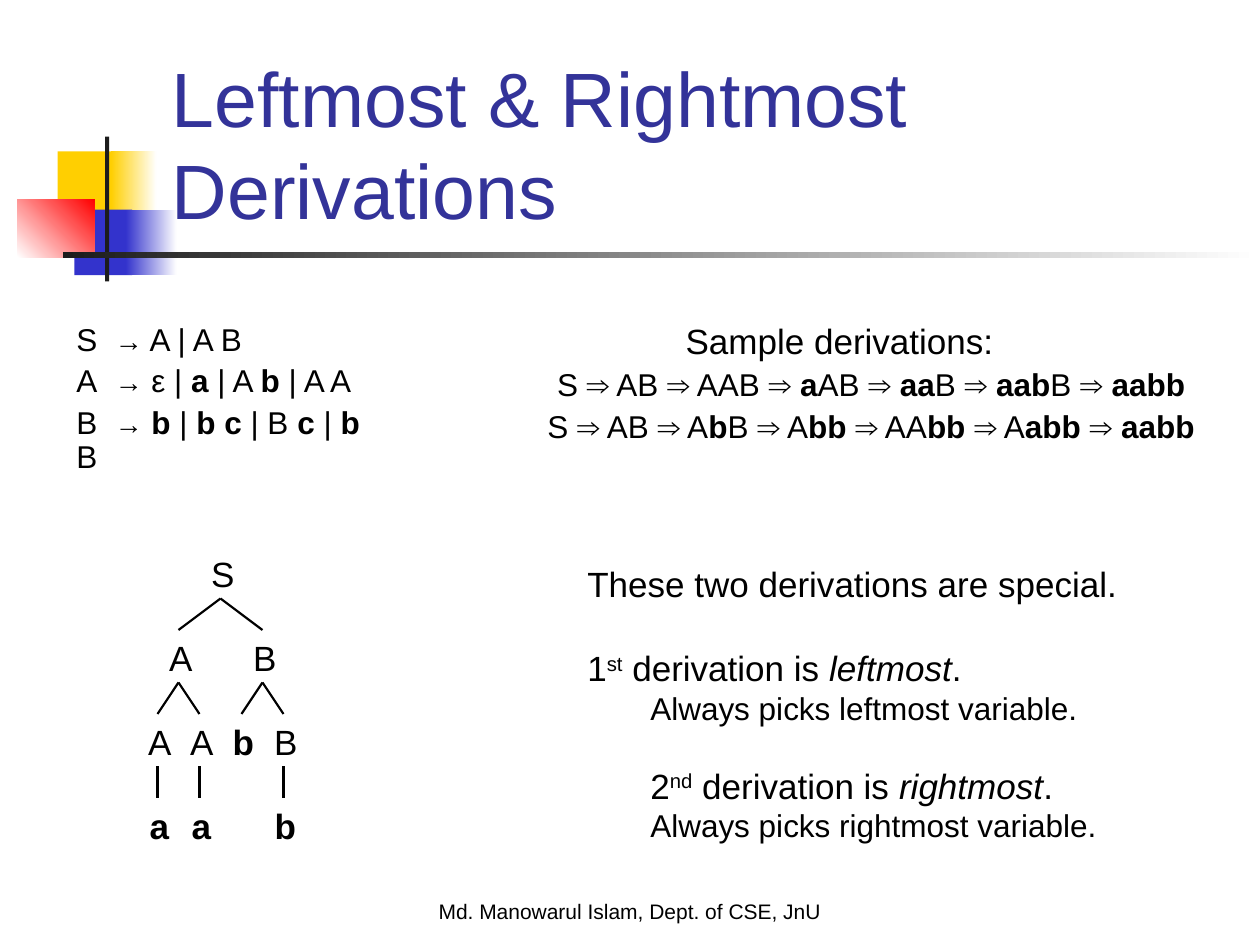
from dataclasses import dataclass
from typing import NamedTuple

from lxml.etree import SubElement
from pptx import Presentation
from pptx.dml.color import RGBColor
from pptx.enum.shapes import MSO_CONNECTOR, MSO_SHAPE
from pptx.enum.text import MSO_ANCHOR, MSO_AUTO_SIZE, PP_ALIGN
from pptx.oxml.ns import qn
from pptx.util import Pt

COLORS = {
    "yellow": "FFCF01",
    "blue": "3333CC",
    "red": "FF0000",
    "ink": "1C1C1C",
    "white": "FFFFFF",
    "title": "333399",
    "text": "000000",
}
FONT = "Arial"


class Block(NamedTuple):
    left: float
    top: float
    width: float
    height: float
    start: str
    end: str | None = None
    angle: float = 0


class Run(NamedTuple):
    text: str
    bold: bool = False
    italic: bool = False
    raised: bool = False
    size: float | None = None


@dataclass
class Line:
    runs: list[Run]
    size: float = 20
    align: PP_ALIGN = PP_ALIGN.LEFT
    indent: float = 0
    before: float = 0
    spacing: float | None = None
    tab: float | None = None


class Node(NamedTuple):
    label: str
    column: float
    level: int
    parent: int | None = None
    bold: bool = False


def color(name: str) -> RGBColor:
    return RGBColor.from_string(COLORS[name])


def alternating(*texts: str) -> list[Run]:
    return [Run(text, bold=i % 2 == 1) for i, text in enumerate(texts) if text]


def production(variable: str, *texts: str) -> Line:
    runs = [Run(variable + "\t"), Run("→", size=16), *alternating(*texts)]
    return Line(runs, 18, before=4.5, spacing=0.9, tab=22)


def derivation(*texts: str) -> Line:
    return Line(alternating(*texts), 18, PP_ALIGN.CENTER, 36, 4.5, 0.9)


def ordinal(number: str, suffix: str, kind: str, indent: float, before: float) -> Line:
    runs = [Run(number), Run(suffix, raised=True), Run(" derivation is "),
            Run(kind, italic=True), Run(".")]
    return Line(runs, indent=indent, before=before)


def add_block(shapes, block: Block) -> None:
    square = shapes.add_shape(MSO_SHAPE.RECTANGLE, *map(Pt, block[:4]))
    square.shadow.inherit = False
    square.line.fill.background()
    if block.end is None:
        square.fill.solid()
        square.fill.fore_color.rgb = color(block.start)
        return
    square.fill.gradient()
    square.fill.gradient_angle = block.angle
    for stop, name in zip(square.fill.gradient_stops, (block.start, block.end)):
        stop.color.rgb = color(name)


def write_line(paragraph, line: Line) -> None:
    paragraph.alignment = line.align
    paragraph.space_before = Pt(line.before)
    if line.spacing:
        paragraph.line_spacing = line.spacing
    properties = paragraph._p.get_or_add_pPr()
    if line.indent:
        properties.set("marL", str(Pt(line.indent)))
    if line.tab:
        stops = SubElement(properties, qn("a:tabLst"))
        SubElement(stops, qn("a:tab"), pos=str(Pt(line.tab)), algn="l")
    paragraph.font.name = FONT
    paragraph.font.size = Pt(line.size)
    paragraph.font.color.rgb = color("text")
    for part in line.runs:
        run = paragraph.add_run()
        run.text = part.text
        if part.bold:
            run.font.bold = True
        if part.italic:
            run.font.italic = True
        if part.size:
            run.font.size = Pt(part.size)
        if part.raised:
            run.font._element.set("baseline", "30000")


def add_text(shapes, left: float, top: float, width: float, height: float,
             lines: list[Line], wrap: bool = True) -> None:
    frame = shapes.add_textbox(Pt(left), Pt(top), Pt(width), Pt(height)).text_frame
    frame.word_wrap = wrap
    for i, line in enumerate(lines):
        write_line(frame.add_paragraph() if i else frame.paragraphs[0], line)


def add_tree(shapes, nodes: list[Node]) -> None:
    left, top, column_gap, level_gap = 90, 312, 24, 48
    label_width, label_height, stem_top = 27, 32, 30
    for node in nodes:
        x, y = left + node.column * column_gap, top + node.level * level_gap
        label = Line([Run(node.label, bold=node.bold)], align=PP_ALIGN.CENTER)
        add_text(shapes, x + 1 - label_width / 2, y, label_width, label_height, [label], False)
        if node.parent is None:
            continue
        parent = nodes[node.parent]
        branch = shapes.add_connector(
            MSO_CONNECTOR.STRAIGHT,
            Pt(left + parent.column * column_gap),
            Pt(top + parent.level * level_gap + stem_top), Pt(x), Pt(y))
        branch.line.color.rgb = color("text")
        branch.line.width = Pt(1.25)
        SubElement(branch._element.spPr, qn("a:effectLst"))


def main() -> None:
    deck = Presentation()
    deck.slide_width, deck.slide_height = Pt(720), Pt(540)
    slide = deck.slides.add_slide(deck.slide_layouts[5])
    shapes = slide.shapes

    for block in [
        Block(33, 86.5, 34.5, 37.5, "yellow"),
        Block(63.5, 86.5, 26, 37.5, "yellow", "white"),
        Block(42.5, 119.75, 33, 37.5, "blue"),
        Block(72, 119.75, 29, 37.5, "blue", "white"),
        Block(10, 113.75, 44, 33.25, "white", "red", 45),
        Block(60, 78, 2.4, 82.75, "ink"),
        Block(36, 144, 684, 3.5, "ink", "white"),
    ]:
        add_block(shapes, block)

    title = shapes.title
    title.element.getparent().append(title.element)
    title.left, title.top, title.width, title.height = map(Pt, (91, 48, 613, 90))
    title.text_frame.auto_size = MSO_AUTO_SIZE.NONE
    title.text_frame.vertical_anchor = MSO_ANCHOR.BOTTOM
    title.text_frame.text = "Leftmost & Rightmost Derivations"
    heading = title.text_frame.paragraphs[0]
    heading.alignment = PP_ALIGN.LEFT
    heading.font.name, heading.font.size = FONT, Pt(44)
    heading.font.color.rgb = color("title")

    add_text(shapes, 0, 510, 720, 29, [
        Line([Run("Md. Manowarul Islam, Dept. of CSE, JnU")], 12, PP_ALIGN.CENTER)])
    add_text(shapes, 263, 181.5, 433.5, 77, [
        Line([Run("Sample derivations:")], align=PP_ALIGN.CENTER, before=5, spacing=0.9),
        derivation("S ⇒ AB ⇒ AAB ⇒ ", "a", "AB ⇒ ", "aa", "B ⇒ ", "aab", "B ⇒ ", "aabb"),
        derivation("S ⇒ AB ⇒ A", "b", "B ⇒ A", "bb ", "⇒ AA", "bb ", "⇒ A", "abb ",
                   "⇒ ", "aabb")])
    add_text(shapes, 36.5, 181.5, 190, 75, [
        production("S", " A | A B"),
        production("A", " ε | ", "a", " | A ", "b", " | A A"),
        production("B", " ", "b", " | ", "b c", " | B ", "c", " | ", "b", " B")])
    add_text(shapes, 328.5, 318, 317.5, 168.5, [
        Line([Run("These two derivations are special.")]),
        ordinal("1", "st", "leftmost", 0, 24),
        Line([Run("Always picks leftmost variable.")], 18, indent=36),
        ordinal("2", "nd", "rightmost", 36, 21.5),
        Line([Run("Always picks rightmost variable.")], 18, indent=36)])
    add_tree(shapes.add_group_shape().shapes, [
        Node("S", 1.5, 0),
        Node("A", 0.5, 1, 0), Node("B", 2.5, 1, 0),
        Node("A", 0, 2, 1), Node("A", 1, 2, 1),
        Node("b", 2, 2, 2, True), Node("B", 3, 2, 2),
        Node("a", 0, 3, 3, True), Node("a", 1, 3, 4, True), Node("b", 3, 3, 6, True)])

    deck.save("out.pptx")


if __name__ == "__main__":
    main()
